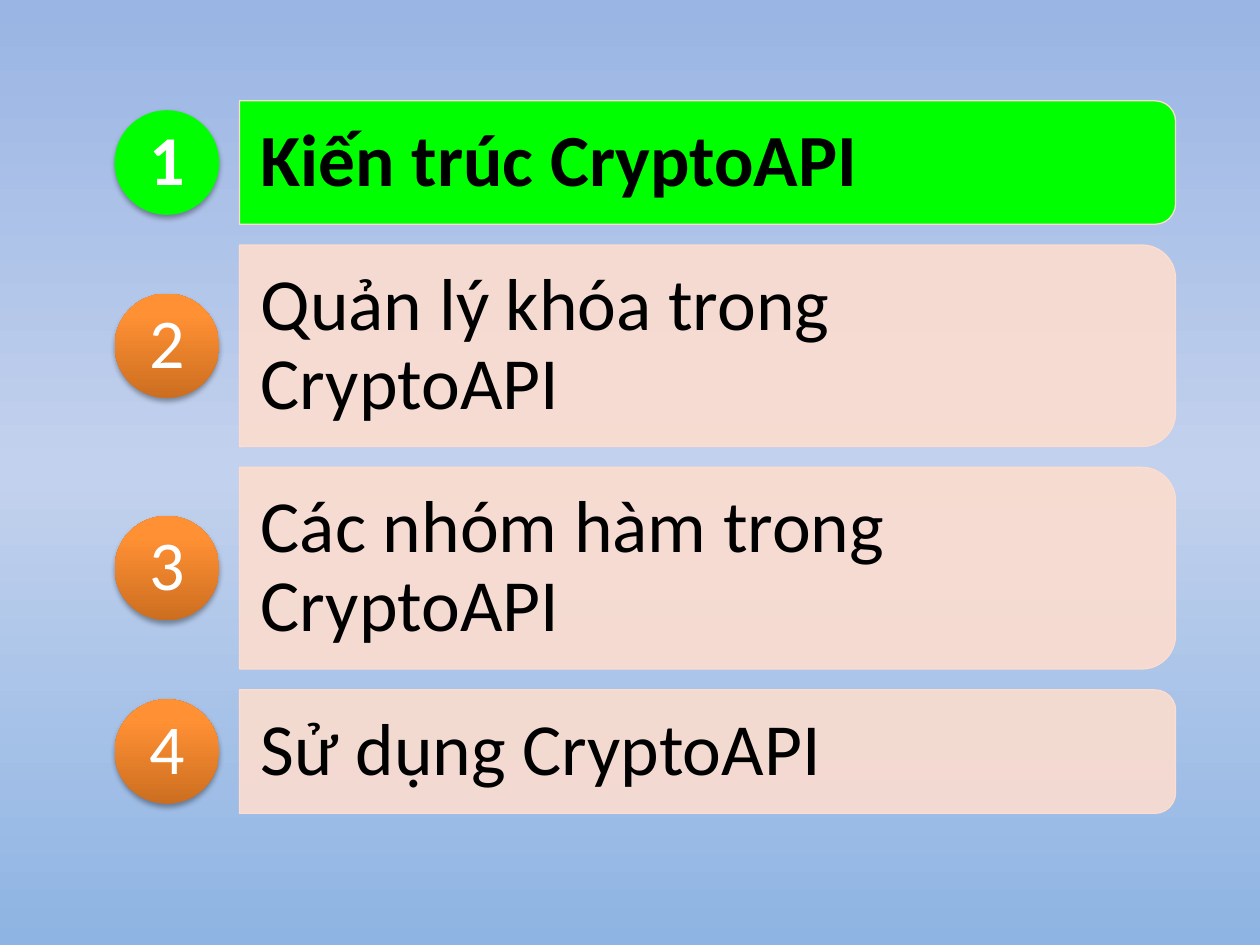
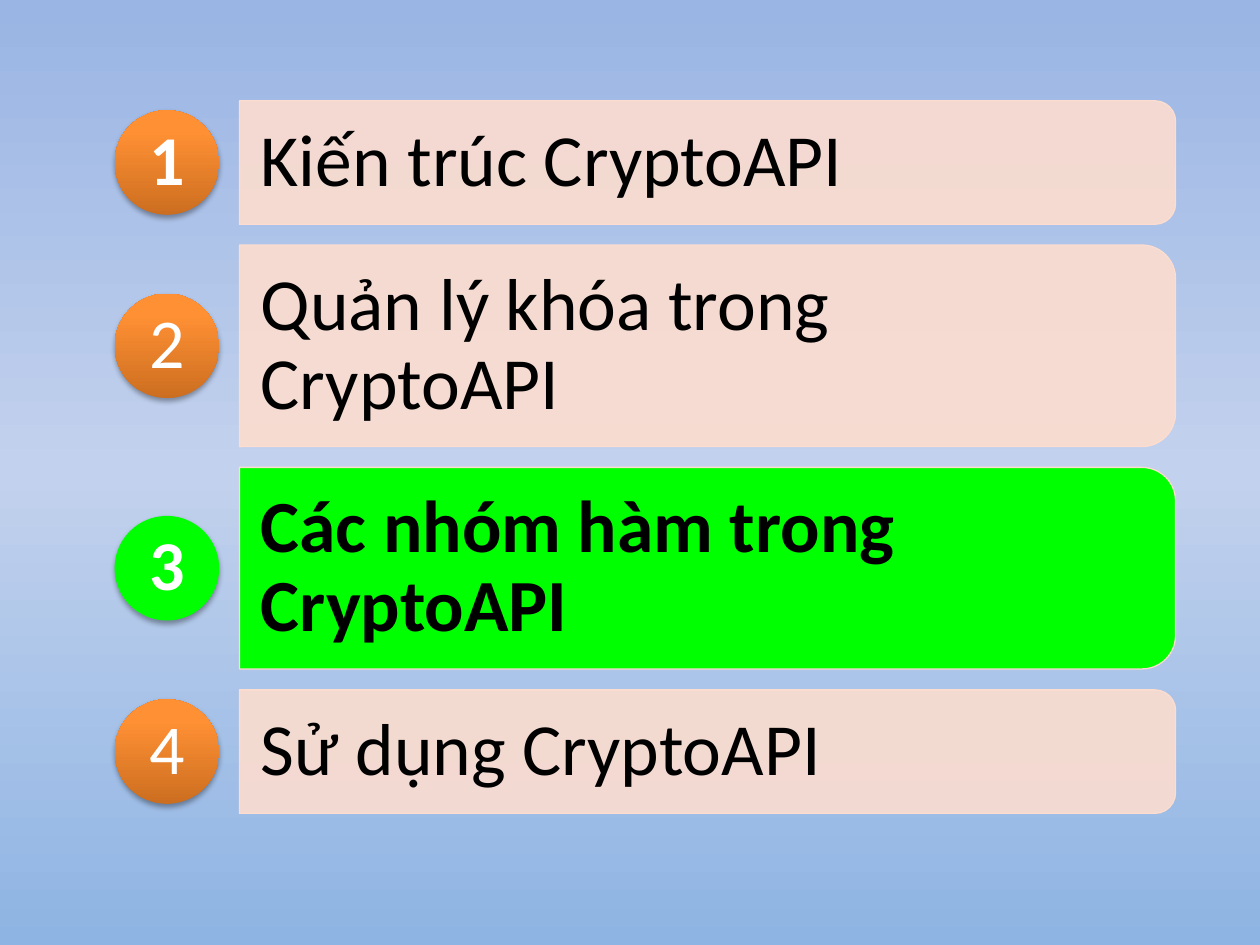
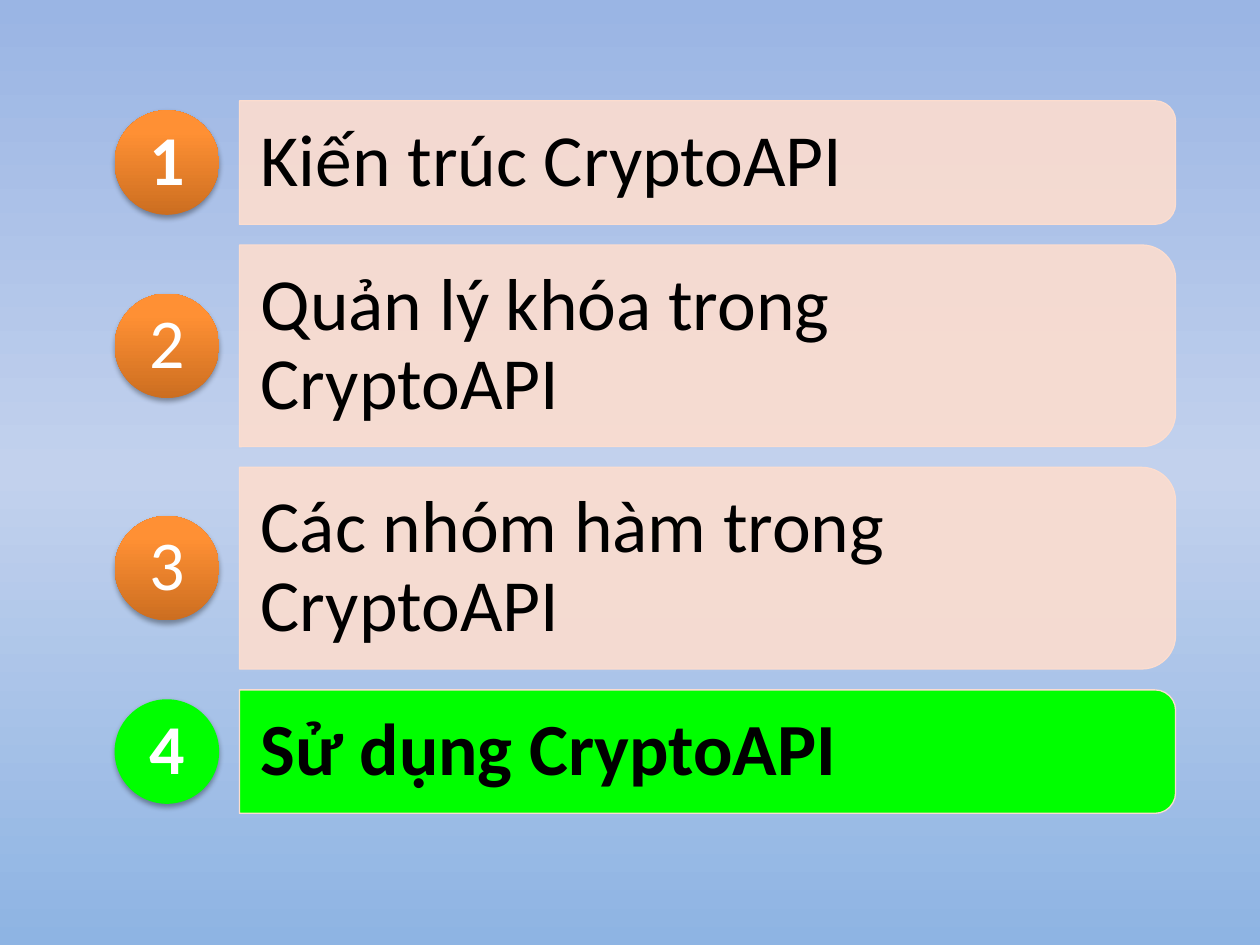
from lxml import etree
from pptx import Presentation
from pptx import util as u
from pptx.dml.color import RGBColor
from pptx.enum import shapes, text
from pptx.oxml import ns

FONT = "Calibri"
BLACK = RGBColor(0x00, 0x00, 0x00)
WHITE = RGBColor(0xFF, 0xFF, 0xFF)
GREEN = RGBColor(0x00, 0xFF, 0x00)
PEACH = RGBColor(0xFC, 0xDD, 0xCF)
SKY = [(0, RGBColor(0x9A, 0xB5, 0xE4)),
       (50, RGBColor(0xC2, 0xD1, 0xED)),
       (100, RGBColor(0x8E, 0xB4, 0xE3))]
ORANGE = [(0, RGBColor(0xCC, 0x6E, 0x20)),
          (80, RGBColor(0xFF, 0x90, 0x34)),
          (100, RGBColor(0xFF, 0x91, 0x36))]

WIDTH, HEIGHT = 10, 7.5
FIRST_TOP, GAP = 0.8, 0.165
LINE_HEIGHTS = {1: 0.98, 2: 1.6}
BAR_LEFT, BAR_WIDTH = 1.9, 7.43
CORNER_TRIM = 0.0488
CIRCLE_LEFT, CIRCLE_SIZE, NUMBER_SIZE = 0.91, 0.83, 0.58
BAR_INSETS = (0.17, 0.12, 0.3, 0.12)

TOPICS = [("Kiến trúc CryptoAPI", 1),
          ("Quản lý khóa trong CryptoAPI", 2),
          ("Các nhóm hàm trong CryptoAPI", 2),
          ("Sử dụng CryptoAPI", 1)]
CURRENT_TOPICS = [1, 3, 4]


def add_xml(parent, tag, **attributes):
    child = etree.SubElement(parent, ns.qn(tag))
    for name, value in attributes.items():
        child.set(name, str(value))
    return child


def paint_gradient(fill, owner, stops, angle):
    fill.gradient()
    fill.gradient_angle = 360 - angle
    stop_list = next(owner.iter(ns.qn("a:gsLst")))
    for old in list(stop_list):
        stop_list.remove(old)
    for share, colour in stops:
        stop = add_xml(stop_list, "a:gs", pos=share * 1000)
        add_xml(stop, "a:srgbClr", val=colour)


def add_label(page, words, left, top, width, height, size, colour,
              bold=False, insets=(0, 0, 0, 0), align=text.PP_ALIGN.LEFT):
    box = page.shapes.add_textbox(*map(u.Inches, (left, top, width, height)))
    frame = box.text_frame
    frame.word_wrap = True
    frame.vertical_anchor = text.MSO_ANCHOR.MIDDLE
    (frame.margin_left, frame.margin_top,
     frame.margin_right, frame.margin_bottom) = map(u.Inches, insets)
    para = frame.paragraphs[0]
    para.alignment = align
    para.line_spacing = 0.9
    after = add_xml(para._p.get_or_add_pPr(), "a:spcAft")
    add_xml(after, "a:spcPct", val=35000)
    span = para.add_run()
    span.text = words
    span.font.name = FONT
    span.font.size = u.Pt(size)
    span.font.bold = bold
    span.font.color.rgb = colour


def add_bar(page, words, top, height, current):
    middle_x, middle_y = BAR_LEFT + BAR_WIDTH / 2, top + height / 2
    bar = page.shapes.add_shape(
        shapes.MSO_SHAPE.ROUND_2_SAME_RECTANGLE,
        u.Inches(middle_x - height / 2), u.Inches(middle_y - BAR_WIDTH / 2),
        u.Inches(height), u.Inches(BAR_WIDTH))
    bar.rotation = 90
    bar.shadow.inherit = False
    bar.fill.solid()
    bar.fill.fore_color.rgb = GREEN if current else PEACH
    if not current:
        colour = next(bar.element.spPr.iter(ns.qn("a:srgbClr")))
        add_xml(colour, "a:alpha", val=90000)
    bar.line.color.rgb = PEACH
    bar.line.width = u.Pt(0.75)
    trim = CORNER_TRIM * height
    add_label(page, words, BAR_LEFT, top + trim, BAR_WIDTH - trim,
              height - 2 * trim, 42, BLACK, bold=current, insets=BAR_INSETS)


def add_shadow(shape):
    shape.shadow.inherit = False
    effects = shape.element.spPr.find(ns.qn("a:effectLst"))
    shadow = add_xml(effects, "a:outerShdw", blurRad=40000, dist=23000,
                     dir=5400000, rotWithShape=0)
    colour = add_xml(shadow, "a:srgbClr", val=BLACK)
    add_xml(colour, "a:alpha", val=35000)


def add_number(page, number, middle, current):
    circle = page.shapes.add_shape(
        shapes.MSO_SHAPE.OVAL, u.Inches(CIRCLE_LEFT),
        u.Inches(middle - CIRCLE_SIZE / 2),
        u.Inches(CIRCLE_SIZE), u.Inches(CIRCLE_SIZE))
    if current:
        circle.fill.solid()
        circle.fill.fore_color.rgb = GREEN
    else:
        paint_gradient(circle.fill, circle.element, ORANGE, 270)
    circle.line.fill.background()
    add_shadow(circle)
    add_label(page, str(number),
              CIRCLE_LEFT + (CIRCLE_SIZE - NUMBER_SIZE) / 2,
              middle - NUMBER_SIZE / 2, NUMBER_SIZE, NUMBER_SIZE, 40, WHITE,
              bold=current or number == 1, align=text.PP_ALIGN.CENTER)


def add_agenda(deck, current_topic):
    page = deck.slides.add_slide(deck.slide_layouts.get_by_name("Blank"))
    top = FIRST_TOP
    for number, (words, lines) in enumerate(TOPICS, 1):
        height = LINE_HEIGHTS[lines]
        current = number == current_topic
        add_bar(page, words, top, height, current)
        add_number(page, number, top + height / 2, current)
        top += height + GAP


def main():
    deck = Presentation()
    deck.slide_width, deck.slide_height = u.Inches(WIDTH), u.Inches(HEIGHT)
    master = deck.slide_master
    paint_gradient(master.background.fill, master.element, SKY, 90)
    for current_topic in CURRENT_TOPICS:
        add_agenda(deck, current_topic)
    deck.save("out.pptx")


main()
